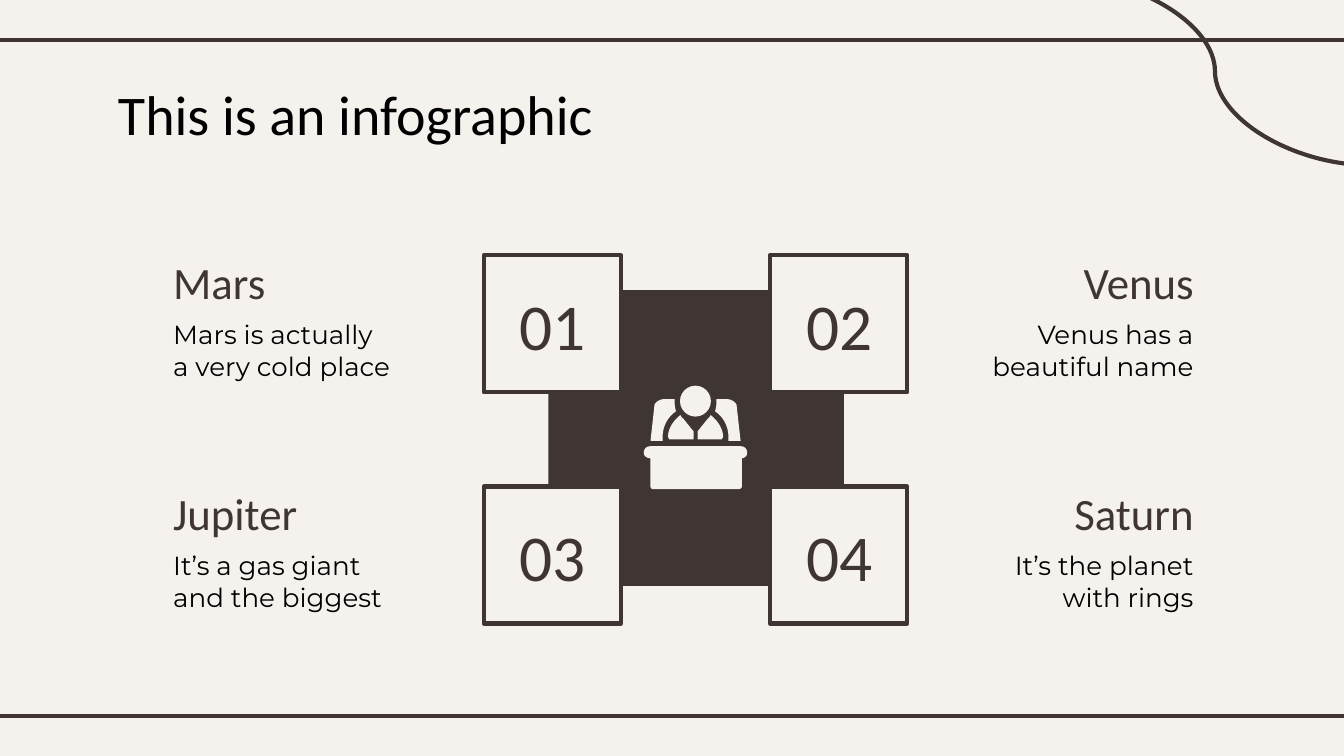
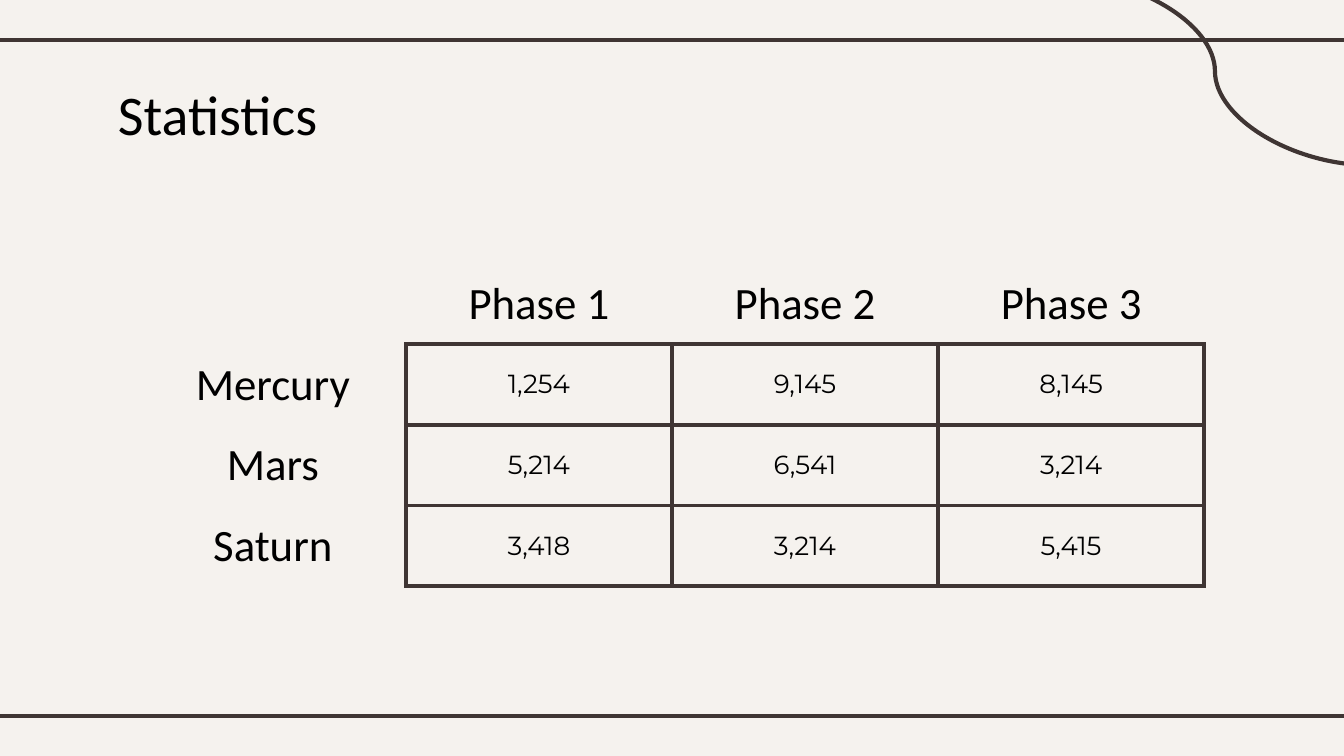
from dataclasses import dataclass

from lxml import etree
from pptx import Presentation
from pptx.dml.color import RGBColor
from pptx.enum.shapes import MSO_CONNECTOR, MSO_SHAPE
from pptx.enum.text import MSO_ANCHOR, PP_ALIGN
from pptx.oxml.ns import qn
from pptx.shapes.base import BaseShape
from pptx.slide import Slide
from pptx.table import _Cell
from pptx.text.text import TextFrame
from pptx.util import Inches, Pt

RECTANGLE, OVAL = MSO_SHAPE.RECTANGLE, MSO_SHAPE.OVAL
STRAIGHT, CURVE = MSO_CONNECTOR.STRAIGHT, MSO_CONNECTOR.CURVE
LEFT, CENTER, RIGHT = PP_ALIGN.LEFT, PP_ALIGN.CENTER, PP_ALIGN.RIGHT
TOP, MIDDLE = MSO_ANCHOR.TOP, MSO_ANCHOR.MIDDLE

COLORS = {"paper": "F5F2EE", "ink": "3F3533", "black": "000000"}
LINE_WIDTH = Pt(2.25)
MARGINS = {
    f"margin_{side}": Inches(0.1) for side in ("left", "right", "top", "bottom")
}

# A segment is a line to (x, y) or a cubic curve (x1, y1, x2, y2, x, y).
Segment = tuple[float, ...]
Point = tuple[float, float]


@dataclass(frozen=True)
class TextStyle:
    size: int
    font: str
    color: str
    anchor: MSO_ANCHOR = TOP


@dataclass(frozen=True)
class Planet:
    number: str
    name: str
    description: str
    column: int
    row: int


@dataclass(frozen=True)
class Rule:
    kind: MSO_CONNECTOR
    start: Point
    end: Point


TITLE = TextStyle(30, "Calibri", "black")
HEADING = TextStyle(24, "Calibri", "ink", MIDDLE)
BODY = TextStyle(14, "Montserrat", "black")
NUMBER = TextStyle(35, "Calibri", "ink", MIDDLE)
TABLE_LABEL = TextStyle(24, "Calibri", "black")
TABLE_VALUE = TextStyle(14, "Montserrat", "black", MIDDLE)

RULES = [
    Rule(STRAIGHT, (-0.08, 0.3), (10.08, 0.3)),
    Rule(STRAIGHT, (-0.08, 5.33), (10.08, 5.33)),
    Rule(CURVE, (7.88, -0.17), (10.2, 1.23)),
]

PLANETS = [
    Planet("01", "Mars", "Mars is actually a very cold place", 0, 0),
    Planet("02", "Venus", "Venus has a beautiful name", 1, 0),
    Planet("03", "Jupiter", "It’s a gas giant and the biggest", 0, 1),
    Planet("04", "Saturn", "It’s the planet with rings", 1, 1),
]
ROW_TOPS = (1.9, 3.62)
SQUARE_LEFTS = (3.6, 5.73)
SQUARE_SIZE = 1.02
TEXT_LEFT, TEXT_RIGHT = 1.19, 8.98
HEADING_WIDTH, BODY_WIDTH = 2, 1.82

ICON_LEFT, ICON_RIGHT = 4.79, 5.56
DESK: list[Segment] = [
    (4.84, 3.32), (4.81, 3.32, 4.79, 3.34, 4.79, 3.37),
    (4.79, 3.39, 4.81, 3.41, 4.84, 3.41), (4.84, 3.62),
    (4.84, 3.63, 4.85, 3.64, 4.86, 3.64), (5.49, 3.64),
    (5.51, 3.64, 5.52, 3.63, 5.52, 3.62), (5.52, 3.41),
    (5.54, 3.41, 5.56, 3.39, 5.56, 3.37), (5.56, 3.34, 5.54, 3.32, 5.51, 3.32),
]
CHAIR_HALF: list[Segment] = [
    (5.33, 2.97), (5.33, 2.97, 5.33, 2.98, 5.33, 2.99),
    (5.33, 3.01, 5.33, 3.03, 5.32, 3.06), (5.38, 3.1, 5.42, 3.17, 5.42, 3.25),
    (5.42, 3.28), (5.51, 3.28), (5.48, 3.01), (5.47, 2.99, 5.44, 2.97, 5.41, 2.97),
]
JACKET_HALF: list[Segment] = [
    (5.29, 3.09), (5.29, 3.09, 5.28, 3.09, 5.28, 3.1),
    (5.28, 3.1, 5.28, 3.11, 5.27, 3.11), (5.19, 3.21), (5.19, 3.27),
    (5.37, 3.27), (5.38, 3.25), (5.38, 3.19, 5.34, 3.13, 5.29, 3.09),
]

STATISTICS = [
    ["", "Phase 1", "Phase 2", "Phase 3"],
    ["Mercury", "1,254", "9,145", "8,145"],
    ["Mars", "5,214", "6,541", "3,214"],
    ["Saturn", "3,418", "3,214", "5,415"],
]
COLUMN_WIDTH, ROW_HEIGHT = 1.98, 0.42


def rgb(color: str) -> RGBColor:
    return RGBColor.from_string(COLORS[color])


def set_attributes(target: object, values: dict[str, object]) -> None:
    for name, value in values.items():
        setattr(target, name, value)


def write_text(frame: TextFrame, text: str, style: TextStyle, align: PP_ALIGN) -> None:
    paragraph = frame.paragraphs[0]
    paragraph.text = text
    paragraph.alignment = align
    font = paragraph.runs[0].font
    set_attributes(font, {"size": Pt(style.size), "name": style.font})
    font.color.rgb = rgb(style.color)


def add_text(
    slide: Slide, box: tuple[float, float, float, float], text: str,
    style: TextStyle, align: PP_ALIGN = LEFT,
) -> None:
    frame = slide.shapes.add_textbox(*map(Inches, box)).text_frame
    set_attributes(
        frame, {"word_wrap": True, "vertical_anchor": style.anchor, **MARGINS}
    )
    write_text(frame, text, style, align)


def paint(shape: BaseShape, fill: str, line: str | None = None) -> None:
    shape.shadow.inherit = False
    shape.fill.solid()
    shape.fill.fore_color.rgb = rgb(fill)
    if line:
        shape.line.color.rgb = rgb(line)
        shape.line.width = LINE_WIDTH
    else:
        shape.line.fill.background()


def add_rule(slide: Slide, rule: Rule) -> None:
    connector = slide.shapes.add_connector(
        rule.kind, *map(Inches, rule.start + rule.end)
    )
    connector.line.color.rgb = rgb("ink")
    connector.line.width = LINE_WIDTH
    etree.SubElement(connector._element.spPr, qn("a:effectLst"))


def add_framed_slide(presentation: Presentation, title: str) -> Slide:
    """Add a slide with the shared background, rules and title."""
    slide = presentation.slides.add_slide(presentation.slide_layouts[6])
    slide.background.fill.solid()
    slide.background.fill.fore_color.rgb = rgb("paper")
    for rule in RULES:
        add_rule(slide, rule)
    add_text(slide, (0.78, 0.49, 8.44, 0.63), title, TITLE)
    return slide


def flatten(segments: list[Segment], steps: int = 8) -> list[Point]:
    """Turn lines and cubic curves into the points of a polygon."""
    points: list[Point] = []
    for segment in segments:
        if len(segment) == 2:
            points.append(segment)
            continue
        x0, y0 = points[-1]
        x1, y1, x2, y2, x3, y3 = segment
        for step in range(1, steps + 1):
            t = step / steps
            a, b, c, d = (1 - t) ** 3, 3 * t * (1 - t) ** 2, 3 * t**2 * (1 - t), t**3
            points.append((
                a * x0 + b * x1 + c * x2 + d * x3,
                a * y0 + b * y1 + c * y2 + d * y3,
            ))
    return points


def mirror(points: list[Point]) -> list[Point]:
    return [(ICON_LEFT + ICON_RIGHT - x, y) for x, y in points]


def add_desk_icon(slide: Slide) -> None:
    icon = slide.shapes.add_group_shape()
    head = icon.shapes.add_shape(OVAL, *map(Inches, (5.06, 2.87, 0.23, 0.23)))
    paint(head, "paper")
    halves = [flatten(CHAIR_HALF), flatten(JACKET_HALF)]
    for outline in [flatten(DESK), *halves, *map(mirror, halves)]:
        points = [(Inches(x), Inches(y)) for x, y in outline]
        builder = icon.shapes.build_freeform(*points[0])
        builder.add_line_segments(points[1:], close=True)
        paint(builder.convert_to_shape(), "paper")


def add_planet(slide: Slide, planet: Planet) -> None:
    top = ROW_TOPS[planet.row]
    square_left = SQUARE_LEFTS[planet.column]
    square = slide.shapes.add_shape(
        RECTANGLE, *map(Inches, (square_left, top, SQUARE_SIZE, SQUARE_SIZE))
    )
    paint(square, "paper", "ink")
    number_box = (square_left - 0.04, top + 0.15, 1.11, 0.73)
    add_text(slide, number_box, planet.number, NUMBER, CENTER)

    on_right = planet.column == 1
    align = RIGHT if on_right else LEFT
    for text, style, width, offset, height in (
        (planet.name, HEADING, HEADING_WIDTH, 0, 0.39),
        (planet.description, BODY, BODY_WIDTH, 0.37, 0.78),
    ):
        left = TEXT_RIGHT - width if on_right else TEXT_LEFT
        add_text(slide, (left, top + offset, width, height), text, style, align)


def set_borders(cell: _Cell, visible: str) -> None:
    """Draw the sides named in visible (of L, R, T, B) and clear the others."""
    properties = cell._tc.get_or_add_tcPr()
    for side in "LRTB":
        line = etree.SubElement(properties, qn(f"a:ln{side}"), w=str(LINE_WIDTH))
        if side in visible:
            fill = etree.SubElement(line, qn("a:solidFill"))
            etree.SubElement(fill, qn("a:srgbClr"), val=COLORS["ink"])
        else:
            etree.SubElement(line, qn("a:noFill"))


def visible_sides(row: int, column: int) -> str:
    if row and column:
        return "LRTB"
    if row:
        return "R"
    return "B" if column else ""


def add_statistics_table(slide: Slide) -> None:
    rows, columns = len(STATISTICS), len(STATISTICS[0])
    table = slide.shapes.add_table(
        rows, columns, Inches(1.04), Inches(1.96),
        Inches(COLUMN_WIDTH * columns), Inches(ROW_HEIGHT * rows),
    ).table
    set_attributes(table, {"first_row": False, "horz_banding": False})
    for row, values in enumerate(STATISTICS):
        for column, value in enumerate(values):
            cell = table.cell(row, column)
            style = TABLE_VALUE if row and column else TABLE_LABEL
            set_borders(cell, visible_sides(row, column))
            cell.fill.background()
            set_attributes(cell, {"vertical_anchor": style.anchor, **MARGINS})
            if value:
                write_text(cell.text_frame, value, style, CENTER)


def main() -> None:
    presentation = Presentation()
    presentation.slide_width = Inches(10)
    presentation.slide_height = Inches(10) * 9 // 16

    infographic = add_framed_slide(presentation, "This is an infographic")
    center = infographic.shapes.add_shape(
        RECTANGLE, *map(Inches, (4.08, 2.16, 2.2, 2.2))
    )
    paint(center, "ink")
    add_desk_icon(infographic)
    for planet in PLANETS:
        add_planet(infographic, planet)

    add_statistics_table(add_framed_slide(presentation, "Statistics"))
    presentation.save("out.pptx")


if __name__ == "__main__":
    main()
